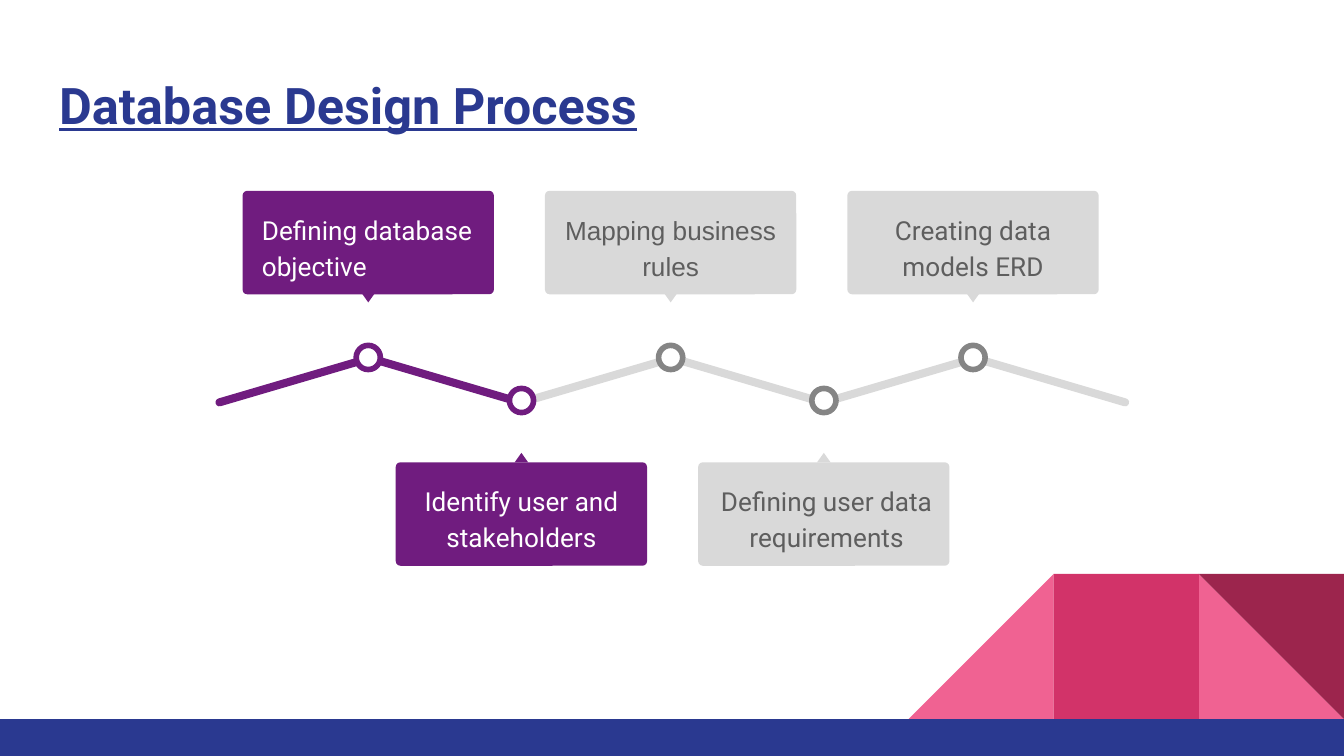
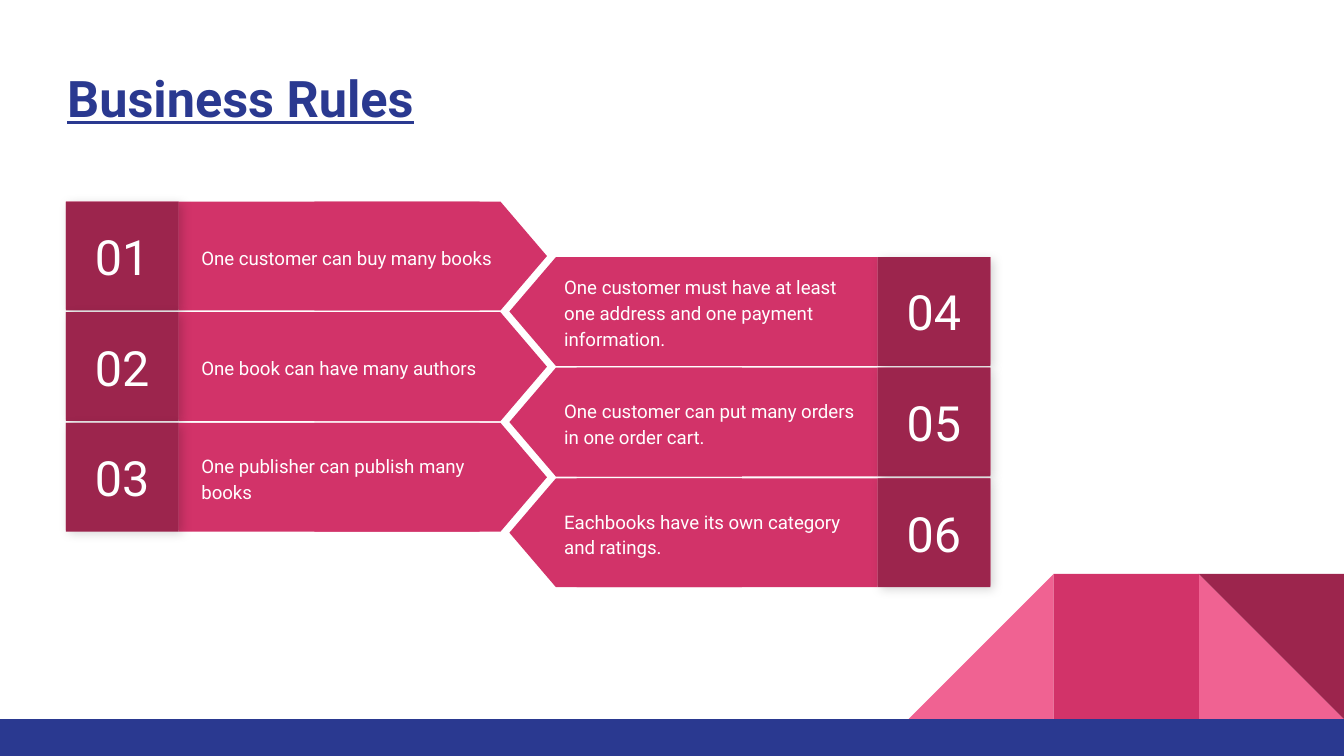
from dataclasses import dataclass
from typing import NamedTuple

from lxml import etree
from pptx import Presentation, util as u
from pptx.dml.color import RGBColor
from pptx.enum import shapes, text
from pptx.oxml import ns

# The slide is a grid of 100 columns by 56.25 rows of square cells.
COLS, ROWS = 100, 56.25
CELL = u.Inches(0.1)

WHITE = RGBColor(0xFF, 0xFF, 0xFF)
NAVY = RGBColor(0x2A, 0x39, 0x90)
PINK = RGBColor(0xF0, 0x62, 0x92)
CRIMSON = RGBColor(0xD2, 0x33, 0x69)
WINE = RGBColor(0x9C, 0x25, 0x4D)
PURPLE = RGBColor(0x70, 0x1C, 0x7F)
SILVER = RGBColor(0xD9, 0xD9, 0xD9)
GRAY = RGBColor(0x85, 0x85, 0x85)
DARK_GRAY = RGBColor(0x5E, 0x5E, 0x5E)

FONT = "Roboto"
SHAPE = shapes.MSO_SHAPE
ALIGN = text.PP_ALIGN
ANCHOR = text.MSO_ANCHOR


class Box(NamedTuple):
    """A place on the grid, in cells."""
    col: float
    row: float
    cols: float
    rows: float

    def emu(self) -> list[int]:
        return [round(v * CELL) for v in self]

    def mirrored(self, span: float) -> "Box":
        """Reflect the box within the first `span` columns."""
        return self._replace(col=span - self.col - self.cols)


@dataclass(frozen=True)
class Style:
    size: float
    color: RGBColor
    font: str = FONT
    align: ALIGN = ALIGN.LEFT
    anchor: ANCHOR = ANCHOR.TOP
    spacing: float = 1.0
    heading: bool = False
    right_inset: float = 0.1


@dataclass(frozen=True)
class Tone:
    fill: RGBColor
    ring: RGBColor
    ink: RGBColor


@dataclass(frozen=True)
class Step:
    label: str
    tone: Tone
    align: ALIGN = ALIGN.CENTER
    font: str = FONT
    label_cols: float = 17.8


class Level(NamedTuple):
    """Rows of a step's parts above or below the zigzag."""
    card: float
    tip: float
    dot: float
    tip_turn: float
    shift: float


DONE = Tone(PURPLE, PURPLE, WHITE)
OPEN = Tone(SILVER, GRAY, DARK_GRAY)
STEPS = [
    Step("Defining database objective", DONE, align=ALIGN.LEFT),
    Step("Identify user and stakeholders", DONE),
    Step("Mapping business rules", OPEN, font="Arial"),
    Step("Defining user data requirements", OPEN, label_cols=18.2),
    Step("Creating data models ERD", OPEN),
]
UPPER = Level(card=14.2, tip=21.8, dot=25.7, tip_turn=180, shift=0)
LOWER = Level(card=34.4, tip=33.7, dot=28.9, tip_turn=0, shift=0.15)
STEP_COLS = 11.25

RULES = [
    "One customer can buy many books",
    "One book can have many authors",
    "One publisher can publish many books",
    "One customer must have at least one address and one payment information.",
    "One customer can put many orders in one order cart.",
    "Eachbooks have its own category and ratings.",
]
RULES_PER_SIDE = 3
RULE_PITCH = 8.23
RULE_ROWS = 8.1
RULE_SPAN = 78.6

TITLE = Style(27, NAVY, heading=True)
NUMBER = Style(26, WHITE, align=ALIGN.CENTER, anchor=ANCHOR.MIDDLE)
RULE = Style(10, WHITE, anchor=ANCHOR.MIDDLE, spacing=1.15, right_inset=0.08)


def write(shape, content: str, style: Style) -> None:
    tf = shape.text_frame
    tf.word_wrap = True
    tf.auto_size = text.MSO_AUTO_SIZE.NONE
    tf.vertical_anchor = style.anchor
    tf.margin_left = tf.margin_top = tf.margin_bottom = u.Inches(0.1)
    tf.margin_right = u.Inches(style.right_inset)
    p = tf.paragraphs[0]
    p.alignment = style.align
    p.line_spacing = style.spacing
    r = p.add_run()
    r.text = content
    r.font.name = style.font
    r.font.size = u.Pt(style.size)
    r.font.color.rgb = style.color
    r.font.bold = r.font.underline = style.heading


def draw(target, kind: SHAPE, box: Box, fill: RGBColor, turn: float = 0,
         corner: float | None = None, ring: RGBColor | None = None):
    """Add a filled preset shape to a slide's or a group's shapes."""
    sp = target.add_shape(kind, *box.emu())
    sp.shadow.inherit = False
    sp.rotation = turn
    sp.fill.solid()
    sp.fill.fore_color.rgb = fill
    if corner is not None:
        sp.adjustments[0] = corner
    if ring is None:
        sp.line.fill.background()
    else:
        sp.line.color.rgb = ring
        sp.line.width = u.Pt(3)
    return sp


def cast_shadow(sp) -> None:
    effects = sp.element.spPr.find(ns.qn("a:effectLst"))
    shadow = etree.SubElement(
        effects, ns.qn("a:outerShdw"), blurRad=str(u.Pt(5.6)),
        dist=str(u.Pt(2.2)), dir=str(45 * 60000), algn="bl", rotWithShape="0")
    color = etree.SubElement(shadow, ns.qn("a:srgbClr"), val="000000")
    etree.SubElement(color, ns.qn("a:alpha"), val="17000")


def add_slide(prs, title: str, col: float, row: float):
    """Add a slide with its title and the shared footer decoration."""
    s = prs.slides.add_slide(prs.slide_layouts.get_by_name("Title Only"))
    sp = s.shapes.title
    sp.left, sp.top, sp.width, sp.height = Box(col, row, 93.2, 6.6).emu()
    write(sp, title, TITLE)

    side, bar_row = 10.8, 53.5
    decoration = s.shapes.add_group_shape().shapes
    for place, kind, fill, turn in (
            (1, SHAPE.RIGHT_TRIANGLE, PINK, 0),
            (3, SHAPE.RIGHT_TRIANGLE, PINK, 270),
            (2, SHAPE.RECTANGLE, CRIMSON, 0),
            (1, SHAPE.RIGHT_TRIANGLE, WINE, 180)):
        box = Box(COLS - place * side, bar_row - side, side, side)
        draw(decoration, kind, box, fill, turn)
    draw(decoration, SHAPE.RECTANGLE,
         Box(0, bar_row, COLS, ROWS - bar_row), NAVY)
    return s


def add_zigzag(s) -> None:
    for i in reversed(range(len(STEPS) + 1)):
        fill = STEPS[i].tone.fill if i < len(STEPS) else SILVER
        draw(s.shapes, SHAPE.ROUNDED_RECTANGLE,
             Box(15.8 + i * STEP_COLS, 28, 12.2, 0.6), fill,
             turn=16.4 if i % 2 else 343.6, corner=0.5)


def add_step(s, i: int, step: Step) -> None:
    level = LOWER if i % 2 else UPPER
    middle = 27.4 + i * STEP_COLS + level.shift
    tone = step.tone
    group = s.shapes.add_group_shape().shapes
    draw(group, SHAPE.OVAL, Box(middle - 0.9, level.dot, 1.8, 1.8), WHITE,
         ring=tone.ring)
    draw(group, SHAPE.ROUNDED_RECTANGLE,
         Box(middle - 9.35, level.card, 18.7, 7.7), tone.fill, corner=0.045)
    draw(group, SHAPE.ISOSCELES_TRIANGLE,
         Box(middle - 0.5, level.tip, 1, 0.7), tone.fill, level.tip_turn)
    label = Box(middle - 8.9, level.card + 0.4, step.label_cols, 6.8)
    write(group.add_textbox(*label.emu()), step.label,
          Style(14, tone.ink, step.font, step.align, spacing=1.15))


def add_rule(s, i: int, rule: str) -> None:
    """Add a numbered arrow; the second half of the rules points left."""
    side, place = divmod(i, RULES_PER_SIDE)
    row = (19.13 if side else 15) + place * RULE_PITCH
    group = s.shapes.add_group_shape().shapes

    def part(box: Box, fill: RGBColor, kind: SHAPE = SHAPE.RECTANGLE,
             turn: float = 0):
        placed = box.mirrored(RULE_SPAN) if side else box
        return draw(group, kind, placed, fill, turn)

    part(Box(13.3, row, 22.4, RULE_ROWS), CRIMSON)
    part(Box(28, row - 4.6, RULE_ROWS, 17.3), CRIMSON,
         SHAPE.FLOWCHART_OFFPAGE_CONNECTOR, 90 if side else 270)
    write(part(Box(14, row + 0.95, 23.6, 6.2), CRIMSON), rule, RULE)
    cast_shadow(part(Box(4.9, row, 8.4, 8), CRIMSON))
    write(part(Box(4.9, row, 8.4, RULE_ROWS), WINE), f"{i + 1:02}", NUMBER)


def main() -> None:
    prs = Presentation()
    prs.slide_width = round(COLS * CELL)
    prs.slide_height = round(ROWS * CELL)

    process = add_slide(prs, "Database Design Process", 3.4, 4.5)
    add_zigzag(process)
    for i, step in enumerate(STEPS):
        add_step(process, i, step)

    business = add_slide(prs, "Business Rules", 4, 4)
    for i, rule in enumerate(RULES):
        add_rule(business, i, rule)

    prs.save("out.pptx")


if __name__ == "__main__":
    main()
